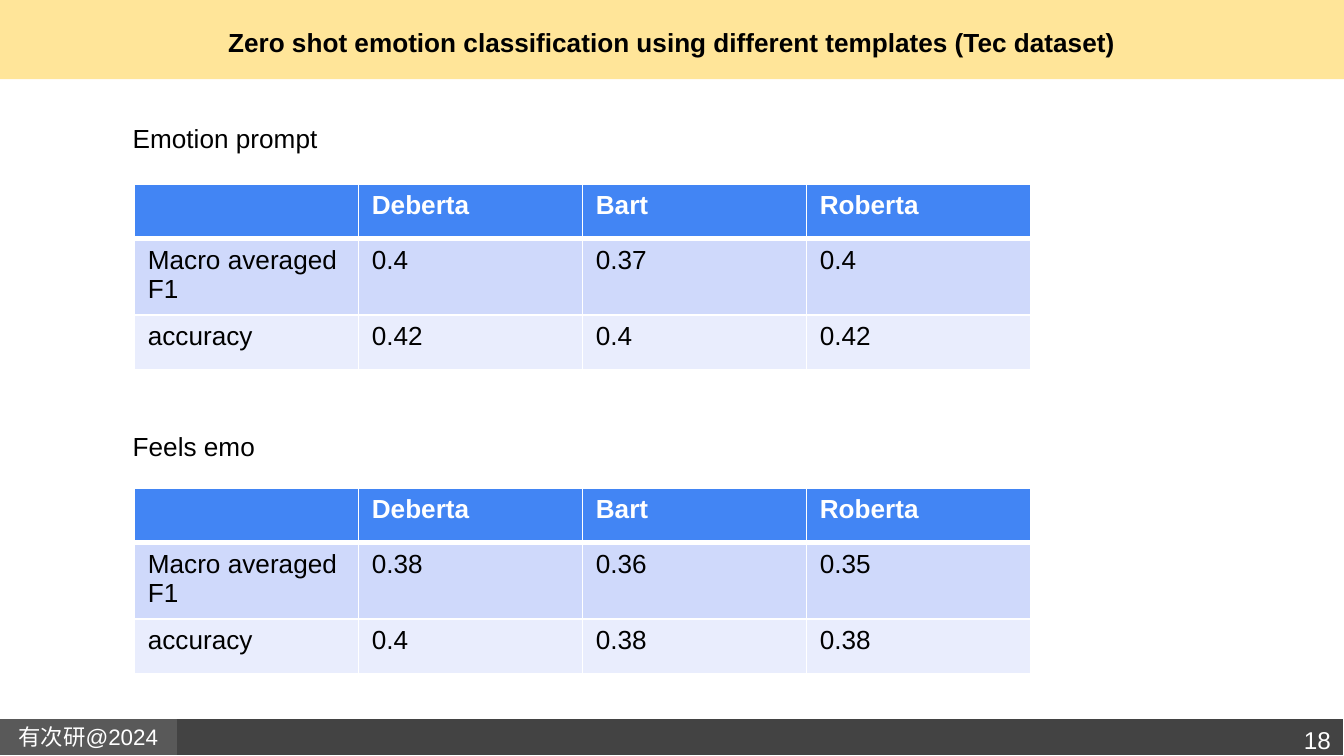
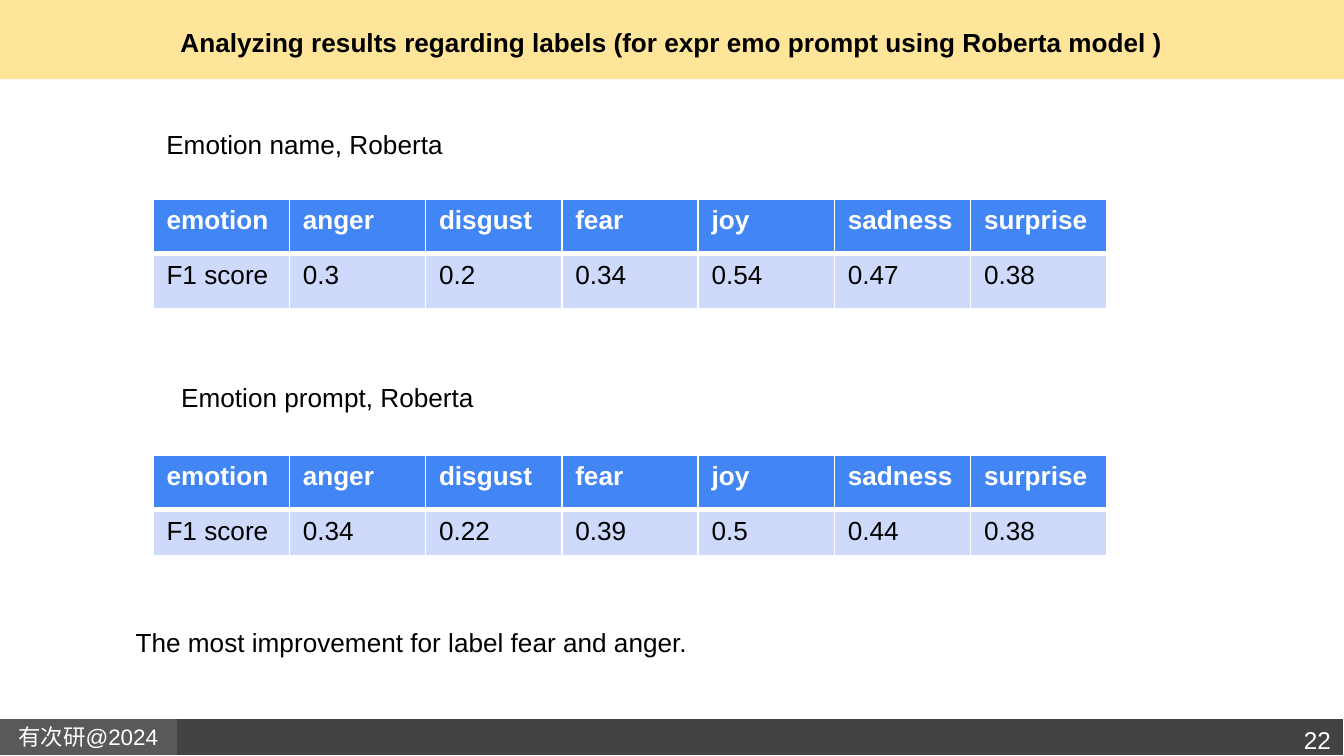
from pptx import Presentation
from pptx.dml.color import RGBColor
from pptx.enum.shapes import MSO_SHAPE
from pptx.enum.text import MSO_ANCHOR, PP_ALIGN
from pptx.oxml.ns import qn
from pptx.util import Pt
from lxml.etree import SubElement

FONT = "Arial"
WHITE, BLACK = "FFFFFF", "000000"
TITLE_BAND, FOOTER_BAND, CREDIT_GREY = "FFE599", "434343", "595959"
HEADER_BLUE, BODY_BLUES = "4285F4", ("CFD9FB", "E9EDFD")
PAGE_WIDTH, PAGE_HEIGHT = 720, 405
ROW_HEIGHT = 29.2
MODELS = ["", "Deberta", "Bart", "Roberta"]
EMOTIONS = ["emotion", "anger", "disgust", "fear", "joy", "sadness", "surprise"]


def color(value):
    return RGBColor.from_string(value)


def write(frame, text, size=14, ink=BLACK, bold=False, align=PP_ALIGN.LEFT):
    para = frame.paragraphs[0]
    para.alignment = align
    para.font.size = Pt(size)
    span = para.add_run()
    span.text = text
    span.font.name = FONT
    span.font.size = Pt(size)
    span.font.bold = bold
    span.font.color.rgb = color(ink)


def set_frame(frame, inset, anchor, wrap):
    frame.word_wrap = wrap
    frame.vertical_anchor = anchor
    frame.margin_left = frame.margin_right = Pt(7.2)
    frame.margin_top = frame.margin_bottom = Pt(inset)


def add_text(page, text, left, top, width, height, inset=3.6,
             anchor=MSO_ANCHOR.TOP, wrap=True, **style):
    box = page.shapes.add_textbox(Pt(left), Pt(top), Pt(width), Pt(height))
    set_frame(box.text_frame, inset, anchor, wrap)
    write(box.text_frame, text, **style)


def add_band(page, left, top, width, height, fill, line=None):
    band = page.shapes.add_shape(
        MSO_SHAPE.RECTANGLE, Pt(left), Pt(top), Pt(width), Pt(height))
    band.shadow.inherit = False
    band.fill.solid()
    band.fill.fore_color.rgb = color(fill)
    if line:
        band.line.color.rgb = color(line)
        band.line.width = Pt(0.75)
    else:
        band.line.fill.background()
    return band


def set_borders(cell, top, bottom):
    properties = cell._tc.get_or_add_tcPr()
    for side, width in (("L", 1), ("R", 1), ("T", top), ("B", bottom)):
        line = SubElement(properties, qn(f"a:ln{side}"), w=str(Pt(width)))
        fill = SubElement(line, qn("a:solidFill"))
        SubElement(fill, qn("a:srgbClr"), val=WHITE)


def add_score_table(page, left, top, width, rows, last_height=ROW_HEIGHT):
    columns = len(rows[0])
    heights = [ROW_HEIGHT] * (len(rows) - 1) + [last_height]
    table = page.shapes.add_table(
        len(rows), columns, Pt(left), Pt(top), Pt(width), Pt(sum(heights))).table
    for column in table.columns:
        column.width = Pt(width / columns)
    for index, (values, height) in enumerate(zip(rows, heights)):
        table.rows[index].height = Pt(height)
        header = index == 0
        for position, value in enumerate(values):
            cell = table.cell(index, position)
            set_borders(cell, 3 if index == 1 else 1, 3 if header else 1)
            cell.fill.solid()
            cell.fill.fore_color.rgb = color(
                HEADER_BLUE if header else BODY_BLUES[(index - 1) % 2])
            write(cell.text_frame, value, bold=header, ink=WHITE if header else BLACK)


def add_page(deck, title, number):
    page = deck.slides.add_slide(deck.slide_layouts[6])
    add_band(page, 0, 0, PAGE_WIDTH, 42.4, TITLE_BAND)
    add_band(page, 0, 384.6, PAGE_WIDTH, 20.4, FOOTER_BAND, WHITE)
    credit = add_band(page, 0, 385.4, 94.6, 18.8, CREDIT_GREY, CREDIT_GREY)
    set_frame(credit.text_frame, 7.2, MSO_ANCHOR.MIDDLE, True)
    write(credit.text_frame, "有次研@2024", size=12, ink=WHITE, align=PP_ALIGN.CENTER)
    add_text(page, title, 24.5, 0, 671, 45.4, inset=7.2, anchor=MSO_ANCHOR.MIDDLE,
             bold=True, align=PP_ALIGN.CENTER)
    add_text(page, number, 644.4, 381.6, 75.6, 26.6, inset=7.2, size=13, ink=WHITE,
             align=PP_ALIGN.RIGHT)
    return page


def add_template_page(deck):
    page = add_page(
        deck, "Zero shot emotion classification using different templates (Tec dataset)", "18")
    add_text(page, "Emotion prompt", 64, 62, 153.4, 41)
    add_text(page, "Feels emo", 64, 226.8, 80.6, 24.5, wrap=False)
    scores = (
        (98.8, ["0.4", "0.37", "0.4"], ["0.42", "0.4", "0.42"]),
        (261.6, ["0.38", "0.36", "0.35"], ["0.4", "0.38", "0.38"]),
    )
    for top, macro, accuracy in scores:
        add_score_table(page, 72, top, 480, [
            MODELS, ["Macro averaged F1"] + macro, ["accuracy"] + accuracy])


def add_label_page(deck):
    page = add_page(
        deck, "Analyzing results regarding labels (for expr emo prompt using Roberta model )", "22")
    add_text(page, "Emotion name, Roberta", 82, 65.5, 188.6, 41)
    add_text(page, "Emotion prompt, Roberta", 90, 201, 172, 24.5, wrap=False)
    add_text(page, "The most improvement for label fear and anger.", 65.6, 331.8, 311.8, 24.5,
             wrap=False)
    scores = (
        (106.8, ROW_HEIGHT, ["0.3", "0.2", "0.34", "0.54", "0.47", "0.38"]),
        (244, 24.5, ["0.34", "0.22", "0.39", "0.5", "0.44", "0.38"]),
    )
    for top, last_height, values in scores:
        add_score_table(page, 82, top, 511, [EMOTIONS, ["F1 score"] + values], last_height)


def main():
    deck = Presentation()
    deck.slide_width, deck.slide_height = Pt(PAGE_WIDTH), Pt(PAGE_HEIGHT)
    add_template_page(deck)
    add_label_page(deck)
    deck.save("out.pptx")


if __name__ == "__main__":
    main()
